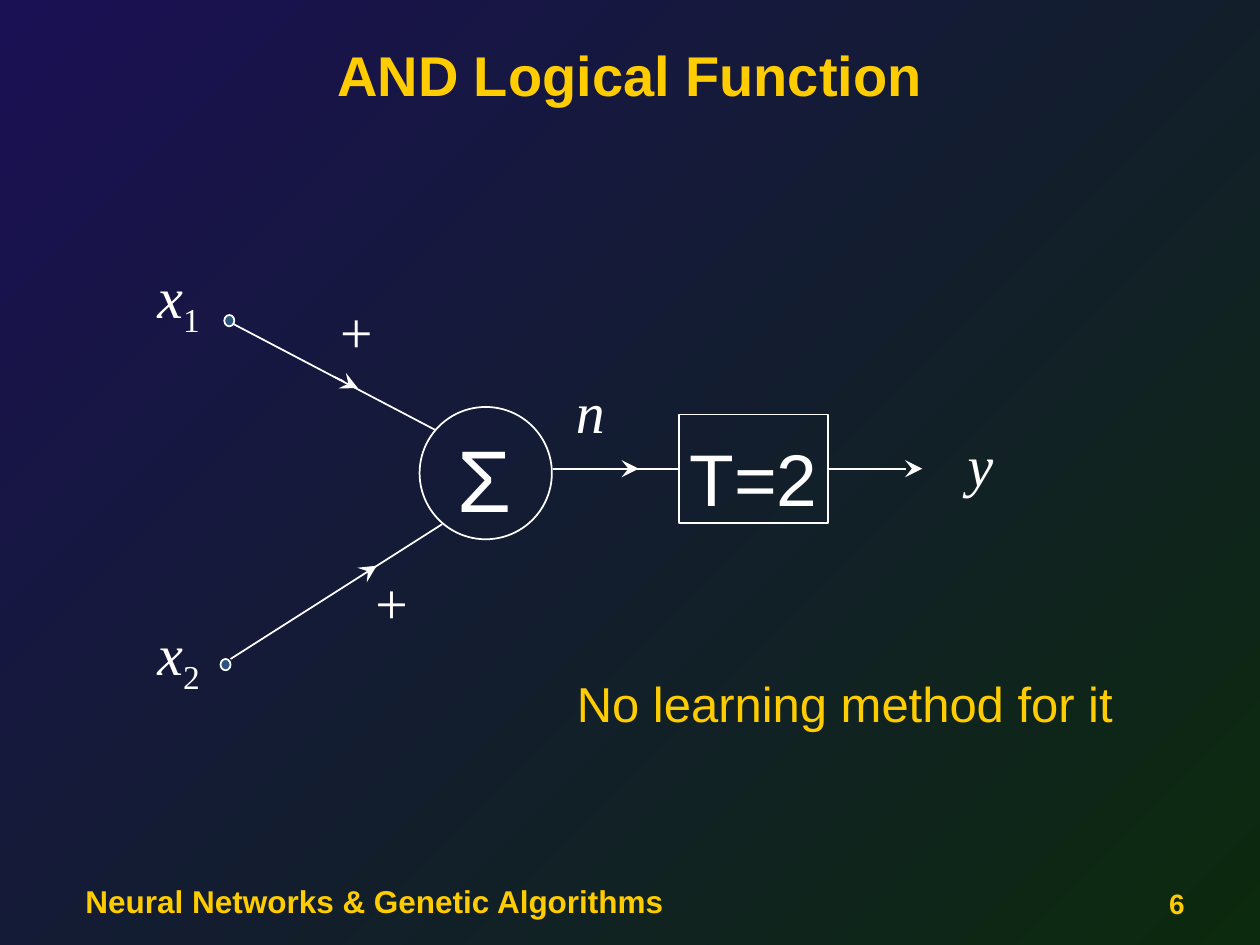
from lxml.etree import SubElement
from pptx import Presentation
from pptx.dml.color import RGBColor
from pptx.enum.shapes import MSO_CONNECTOR, MSO_SHAPE
from pptx.enum.text import MSO_ANCHOR, MSO_AUTO_SIZE, PP_ALIGN
from pptx.oxml.ns import qn
from pptx.util import Inches, Pt

COLORS = {"indigo": "1A1054", "green": "0C2A0D", "gold": "FFCC00",
          "white": "FFFFFF", "node": "2B5481"}
SLIDE_W, SLIDE_H = Inches(10), Inches(7.5)
COLUMNS, ROWS = 100, 75  # fine grid that all positions refer to
SANS, SERIF = "Arial", "Times New Roman"
SIGNAL_ROW = 37.2  # row of the path from the sum to the output


def rgb(name):
    return RGBColor.from_string(COLORS[name])


def col(n):
    return round(SLIDE_W * n / COLUMNS)


def row(n):
    return round(SLIDE_H * n / ROWS)


def place(left, top, width, height):
    return col(left), row(top), col(width), row(height)


def paint_background(slide):
    fill = slide.background.fill
    fill.gradient()
    fill.gradient_angle = 315
    for stop, name, position in zip(fill.gradient_stops, ("indigo", "green"), (0, 1)):
        stop.color.rgb = rgb(name)
        stop.position = position


def set_frame(shape, anchor, inset, wrap, grow=False):
    frame = shape.text_frame
    frame.word_wrap = wrap
    frame.auto_size = MSO_AUTO_SIZE.SHAPE_TO_FIT_TEXT if grow else MSO_AUTO_SIZE.NONE
    frame.vertical_anchor = anchor
    frame.margin_left = frame.margin_right = Inches(inset)
    frame.margin_top = frame.margin_bottom = Inches(inset / 2)
    return frame.paragraphs[0]


def add_run(paragraph, text, size, font=SANS, color="white",
            bold=False, italic=False, baseline=0):
    run = paragraph.add_run()
    run.text = text
    run.font.name, run.font.size = font, Pt(size)
    run.font.bold, run.font.italic = bold, italic
    run.font.color.rgb = rgb(color)
    if baseline:
        run.font._element.set("baseline", str(baseline * 1000))


def add_caption(slide, box, text, size, align=PP_ALIGN.LEFT, anchor=MSO_ANCHOR.BOTTOM,
                bold=True, wrap=True, grow=False):
    caption = slide.shapes.add_textbox(*place(*box))
    paragraph = set_frame(caption, anchor, 0.1, wrap, grow)
    paragraph.alignment = align
    add_run(paragraph, text, size, color="gold", bold=bold)


def add_symbol(slide, box, letter, subscript=""):
    symbol = slide.shapes.add_textbox(*place(*box))
    paragraph = set_frame(symbol, MSO_ANCHOR.TOP, 0.08, False, True)
    add_run(paragraph, letter, 33, SERIF, italic=True)
    if subscript:
        add_run(paragraph, subscript, 33, SERIF, baseline=-25)


def add_outline(slide, kind, box, fill=None):
    outline = slide.shapes.add_shape(kind, *place(*box))
    outline.shadow.inherit = False
    if fill:
        outline.fill.solid()
        outline.fill.fore_color.rgb = rgb(fill)
    else:
        outline.fill.background()
    outline.line.color.rgb = rgb("white")
    outline.line.width = Pt(1)
    return outline


def add_link(slide, start, end, arrow=False):
    link = slide.shapes.add_connector(
        MSO_CONNECTOR.STRAIGHT, col(start[0]), row(start[1]), col(end[0]), row(end[1]))
    link.line.color.rgb = rgb("white")
    link.line.width = Pt(1)
    if arrow:
        SubElement(link.line._get_or_add_ln(), qn("a:tailEnd"),
                   type="stealth", w="lg", len="lg")
    SubElement(link._element.spPr, qn("a:effectLst"))
    return link


def add_input(slide, index, symbol_top, node, start, end, arrow, plus):
    add_link(slide, start, end)
    add_link(slide, *arrow, arrow=True)
    add_outline(slide, MSO_SHAPE.OVAL, (*node, 0.8, 0.9), "node")
    # Wide enough to keep the subscript beside its letter
    add_symbol(slide, (11.7, symbol_top, 5.3, 7), "x", index)
    add_symbol(slide, (*plus, 4.6, 6.3), "+")


def add_sum(slide):
    add_outline(slide, MSO_SHAPE.OVAL, (33.3, 32.3, 10.5, 10.5))
    sigma = slide.shapes.add_textbox(*place(35.5, 33.3, 5.9, 9.1))
    add_run(set_frame(sigma, MSO_ANCHOR.TOP, 0.08, True, True), "Σ", 50)


def add_threshold(slide):
    threshold = add_outline(slide, MSO_SHAPE.RECTANGLE, (53.9, 32.9, 11.8, 8.6))
    paragraph = set_frame(threshold, MSO_ANCHOR.MIDDLE, 0.08, False)
    paragraph.alignment = PP_ALIGN.CENTER
    add_run(paragraph, "Τ=2", 72, baseline=10)
    return threshold


def main():
    deck = Presentation()
    deck.slide_width, deck.slide_height = SLIDE_W, SLIDE_H
    slide = deck.slides.add_slide(deck.slide_layouts[6])
    paint_background(slide)

    # Title and footer
    add_caption(slide, (5, 1.7, 90, 8.3), "AND Logical Function", 32,
                PP_ALIGN.CENTER, MSO_ANCHOR.MIDDLE)
    add_caption(slide, (5.8, 68.3, 71.7, 5.2), "Neural Networks & Genetic Algorithms", 18)
    add_caption(slide, (71.7, 68.3, 23.3, 5.2), "6", 16, PP_ALIGN.RIGHT)

    # Weighted inputs
    add_input(slide, "1", 20.3, (17.8, 25), (18.3, 25.6), (34.5, 34.1),
              ((26.5, 29.9), (28.4, 30.8)), (25.9, 23.1))
    add_input(slide, "2", 48.6, (17.5, 52.3), (18.3, 52.3), (35.1, 41.6),
              ((28.8, 45.6), (29.9, 44.9)), (28.7, 44.6))

    # Sum, threshold and output
    add_sum(slide)
    threshold = add_threshold(slide)
    net = add_link(slide, (43.9, SIGNAL_ROW), (53.9, SIGNAL_ROW))
    net.end_connect(threshold, 1)
    add_link(slide, (44.5, SIGNAL_ROW), (50.7, SIGNAL_ROW), arrow=True)
    output = add_link(slide, (65.7, SIGNAL_ROW), (73.2, SIGNAL_ROW), arrow=True)
    output.begin_connect(threshold, 3)
    add_symbol(slide, (44.9, 29.4, 3.8, 6.3), "n")
    add_symbol(slide, (76, 33.6, 3.6, 6.3), "y")

    # Remark
    add_caption(slide, (44.8, 53, 44.5, 5.7), "No learning method for it", 28,
                anchor=MSO_ANCHOR.TOP, bold=False, wrap=False, grow=True)

    deck.save("out.pptx")


if __name__ == "__main__":
    main()
